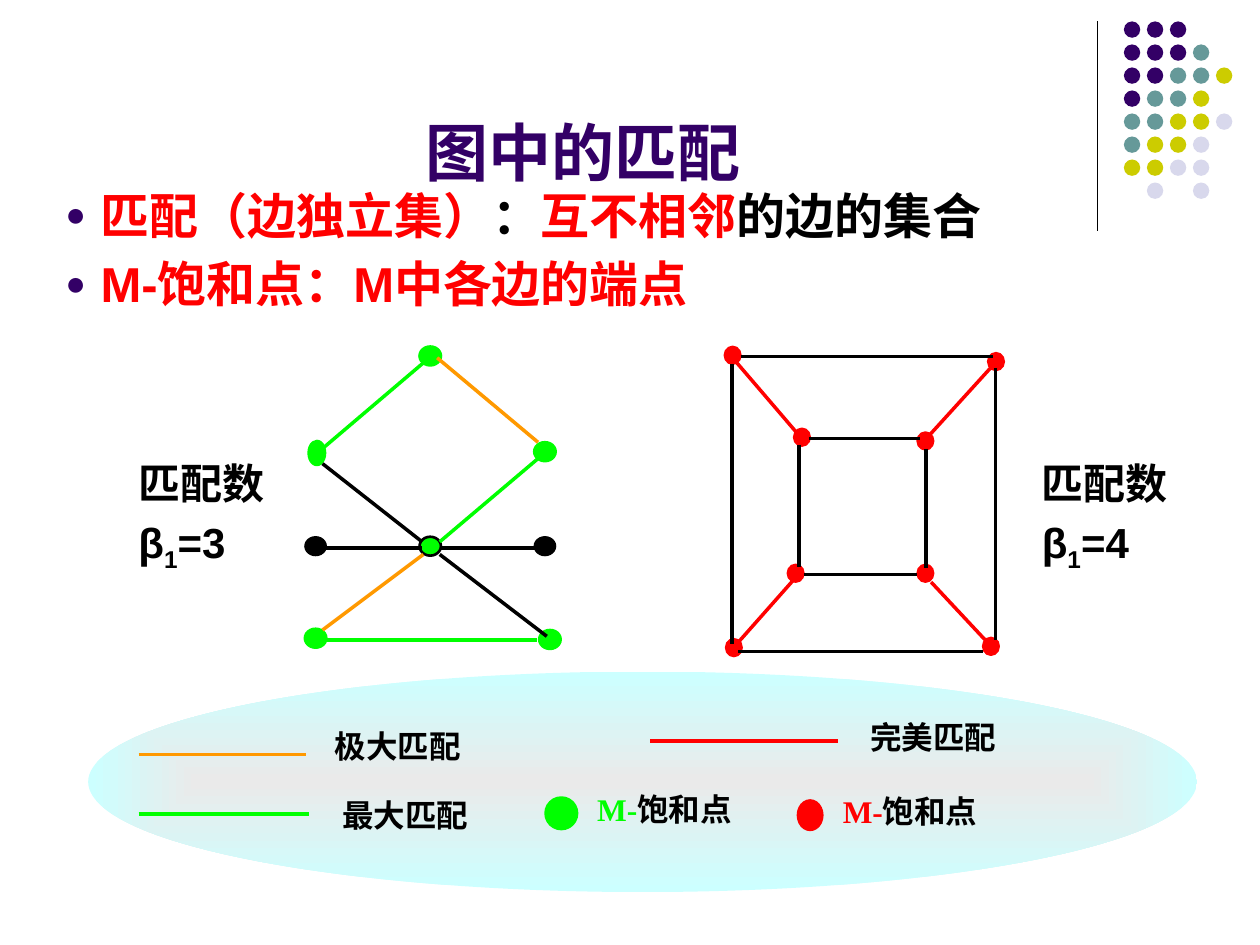
import pptx
import pptx.util
import pptx.dml.color
import pptx.enum.shapes
import pptx.enum.text
import pptx.oxml
import pptx.oxml.ns

Pt, Inches = pptx.util.Pt, pptx.util.Inches
RGB = pptx.dml.color.RGBColor
ALIGN = pptx.enum.text.PP_ALIGN
ANCHOR = pptx.enum.text.MSO_ANCHOR
OVAL = pptx.enum.shapes.MSO_SHAPE.OVAL
STRAIGHT = pptx.enum.shapes.MSO_CONNECTOR.STRAIGHT
NS = pptx.oxml.ns.nsdecls("a")

BLACK, RED, GREEN = RGB(0, 0, 0), RGB(255, 0, 0), RGB(0, 255, 0)
ORANGE, PURPLE = RGB(255, 153, 0), RGB(0x33, 0, 0x66)
TEAL, OLIVE, LILAC = RGB(0x66, 0x99, 0x99), RGB(0xCC, 0xCC, 0), RGB(0xD8, 0xD8, 0xEC)

DOT_COLORS = {"P": PURPLE, "T": TEAL, "O": OLIVE, "L": LILAC}
DOT_ROWS = ["PPP", "PPPT", "PPTTO", "PTTO", "TTOOL", "TOOL", "OOLL", " L L"]
DOT_LEFT, DOT_TOP, DOT_STEP, DOT_SIZE = 8.92, 0.17, 0.18, 0.13

TITLE = [[("图中的匹配", PURPLE)]]
BULLETS = [
    [("匹配（边独立集）", RED), ("：", BLACK), ("互不相邻", RED), ("的边的集合", BLACK)],
    [("M-饱和点：M中各边的端点", RED)],
]
MATCHING_NUMBERS = [(1, 1.22, "=3"), (8.17, 1.42, "=4")]

GREEN_NODE, BLACK_NODE, RED_NODE = (0.17, 0.15), (0.17, 0.15), (0.13, 0.14)
NODE_GROUPS = [
    (GREEN_NODE, GREEN, GREEN, 1.5, [(3.33, 2.75), (4.24, 3.51), (2.42, 4.99), (4.28, 5)]),
    ((0.13, 0.19), GREEN, GREEN, 1.5, [(2.45, 3.5)]),
    (GREEN_NODE, GREEN, BLACK, 1.5, [(3.33, 4.26)]),
    (BLACK_NODE, BLACK, BLACK, 0.75, [(2.42, 4.26), (4.24, 4.26)]),
    (RED_NODE, RED, RED, 1, [
        (5.75, 2.75), (5.76, 5.07), (7.8, 5.06), (7.84, 2.8),
        (6.3, 3.4), (7.28, 3.43), (6.25, 4.48), (7.28, 4.48)]),
]
EDGES = {
    BLACK: [
        (2.56, 3.68, 3.35, 4.3), (3.49, 4.4, 4.34, 5.05),
        (2.58, 4.35, 3.35, 4.35), (3.49, 4.35, 4.26, 4.35),
        (5.88, 2.83, 7.88, 2.83), (5.86, 5.17, 7.8, 5.17),
        (5.81, 2.89, 5.81, 5.11), (7.9, 2.92, 7.9, 5.08),
        (6.42, 3.48, 7.3, 3.48), (6.38, 4.56, 7.28, 4.56),
        (6.34, 3.53, 6.34, 4.5), (7.35, 3.56, 7.35, 4.51)],
    GREEN: [(3.36, 2.88, 2.56, 3.56), (3.49, 4.3, 4.27, 3.64), (2.58, 5.08, 4.26, 5.08)],
    ORANGE: [(3.47, 2.84, 4.27, 3.51), (3.36, 4.4, 2.56, 5)],
    RED: [
        (5.84, 2.87, 6.32, 3.43), (6.3, 4.6, 5.84, 5.12),
        (7.38, 3.45, 7.88, 2.9), (7.39, 4.62, 7.82, 5.08)],
}
LEGEND_LINES = [
    ("极大匹配", ORANGE, 1.1, 2.43, 5.99, (2.56, 5.72, 2.6)),
    ("最大匹配", GREEN, 1.1, 2.45, 6.46, (2.62, 6.27, 2.6)),
    ("完美匹配", RED, 5.16, 6.65, 5.88, (6.81, 5.65, 2.12)),
]
LEGEND_NODES = [
    (GREEN, 1.5, (4.33, 6.33, 0.25, 0.25), (4.64, 6.22)),
    (RED, 1, (6.33, 6.35, 0.2, 0.24), (6.59, 6.24)),
]


def add_oval(s, box, fill=None, line=None, width=1):
    sp = s.shapes.add_shape(OVAL, *map(Inches, box))
    sp.shadow.inherit = False
    if fill is not None:
        sp.fill.solid()
        sp.fill.fore_color.rgb = fill
    if line is None:
        sp.line.fill.background()
    else:
        sp.line.color.rgb = line
        sp.line.width = Pt(width)
    return sp


def add_line(s, ends, color, width=2):
    cx = s.shapes.add_connector(STRAIGHT, *map(Inches, ends))
    cx.line.color.rgb = color
    cx.line.width = Pt(width)
    cx._element.spPr.append(pptx.oxml.parse_xml(f"<a:effectLst {NS}/>"))


def add_text(s, box, paragraphs, size, align=ALIGN.LEFT, anchor=ANCHOR.TOP):
    tf = s.shapes.add_textbox(*map(Inches, box)).text_frame
    tf.word_wrap = True
    tf.vertical_anchor = anchor
    for i, runs in enumerate(paragraphs):
        p = tf.paragraphs[0] if i == 0 else tf.add_paragraph()
        p.alignment = align
        p.space_before = Pt(size * 0.2)
        for text, color, *font in runs:
            r = p.add_run()
            r.text = text
            r.font.name = font[0] if font else "Arial"
            r.font.size = Pt(size)
            r.font.bold = True
            r.font.color.rgb = color
    return tf


def add_bullet(p):
    pPr = p._p.get_or_add_pPr()
    pPr.set("marL", str(Inches(0.28)))
    pPr.set("indent", str(Inches(-0.28)))
    for xml in (
        f'<a:buClr {NS}><a:srgbClr val="{PURPLE}"/></a:buClr>',
        f'<a:buSzPct {NS} val="70000"/>',
        f'<a:buFont {NS} typeface="Arial"/>',
        f'<a:buChar {NS} char="●"/>',
    ):
        pPr.append(pptx.oxml.parse_xml(xml))


def add_legend_panel(s):
    sp = add_oval(s, (0.7, 5.33, 8.8, 1.75))
    sp._element.spPr.find(pptx.oxml.ns.qn("a:prstGeom")).addnext(pptx.oxml.parse_xml(
        f'<a:gradFill {NS} rotWithShape="1"><a:gsLst>'
        '<a:gs pos="0"><a:srgbClr val="EAEAEA"/></a:gs>'
        '<a:gs pos="100000"><a:srgbClr val="CCFFFF"/></a:gs></a:gsLst>'
        '<a:path path="shape"><a:fillToRect l="50000" t="50000" r="50000" b="50000"/>'
        '</a:path></a:gradFill>'))


def main():
    prs = pptx.Presentation()
    prs.slide_width, prs.slide_height = Inches(10), Inches(7.5)
    s = prs.slides.add_slide(prs.slide_layouts[6])

    add_line(s, (8.71, 0.17, 8.71, 1.83), BLACK, 0.75)
    for row, codes in enumerate(DOT_ROWS):
        for col, code in enumerate(codes):
            if code in DOT_COLORS:
                add_oval(s, (DOT_LEFT + col * DOT_STEP * 1.015, DOT_TOP + row * DOT_STEP * 1.015,
                             DOT_SIZE, DOT_SIZE), DOT_COLORS[code])

    add_legend_panel(s)
    add_text(s, (0.5, 0.13, 8.25, 1.42), TITLE, 36, ALIGN.CENTER, ANCHOR.BOTTOM)
    body = add_text(s, (0.42, 1.42, 9.08, 1.17), BULLETS, 28, ALIGN.JUSTIFY)
    for p in body.paragraphs:
        add_bullet(p)

    for size, fill, line, width, corners in NODE_GROUPS:
        for corner in corners:
            add_oval(s, corner + size, fill, line, width)
    for color, edges in EDGES.items():
        for ends in edges:
            add_line(s, ends, color)

    for left, width, value in MATCHING_NUMBERS:
        tf = add_text(s, (left, 3.58, width, 0.99),
                      [[("匹配数", BLACK)], [("β", BLACK), ("1", BLACK), (value, BLACK)]], 24)
        tf.paragraphs[1].runs[1].font._element.set("baseline", "-25000")

    for label, color, x1, x2, y, box in LEGEND_LINES:
        add_line(s, (x1, y, x2, y), color)
        add_text(s, box + (0.4,), [[(label, BLACK)]], 18)
    for color, width, box, corner in LEGEND_NODES:
        add_oval(s, box, color, color, width)
        add_text(s, corner + (2.28, 0.4),
                 [[("M-", color, "Times New Roman"), ("饱和点", BLACK)]], 18)

    prs.save("out.pptx")


if __name__ == "__main__":
    main()
